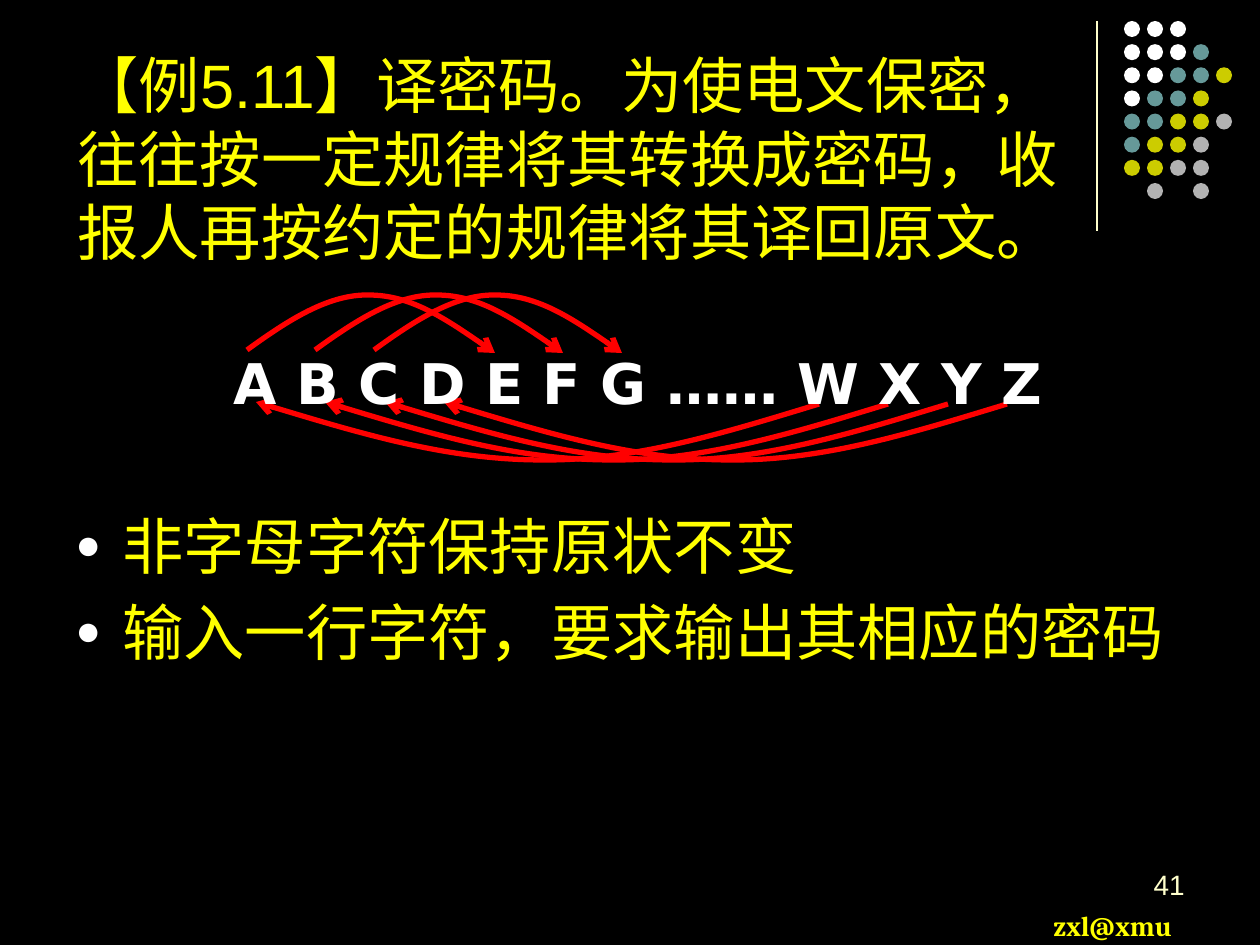
"""Build a slide that explains a letter-shifting cipher."""
from lxml import etree
from pptx import Presentation
from pptx.dml.color import RGBColor
from pptx.enum.shapes import MSO_CONNECTOR, MSO_SHAPE
from pptx.enum.text import MSO_ANCHOR, PP_ALIGN
from pptx.oxml.ns import qn
from pptx.util import Inches, Pt

STRAIGHT, OVAL = MSO_CONNECTOR.STRAIGHT, MSO_SHAPE.OVAL
TOP, BOTTOM = MSO_ANCHOR.TOP, MSO_ANCHOR.BOTTOM
LEFT, CENTER, RIGHT = PP_ALIGN.LEFT, PP_ALIGN.CENTER, PP_ALIGN.RIGHT
SCALE = 914400 / 126
COLORS = {
    "black": "000000", "white": "FFFFFF", "yellow": "FFFF00", "cream": "FFFFCC",
    "teal": "669999", "olive": "CCCC00", "gray": "B2B2B2", "red": "FF0000",
}


def px(*lengths):
    return [round(length * SCALE) for length in lengths]


def add_text(text, place, size, color, font="Arial", bold=False, align=LEFT,
             anchor=TOP, wrap=True, hanging=0, bullet=None, line_spacing=None):
    box = slide.shapes.add_textbox(*px(*place))
    frame = box.text_frame
    frame.word_wrap = wrap
    frame.vertical_anchor = anchor
    for index, line in enumerate(text.split("\n")):
        para = frame.paragraphs[0] if index == 0 else frame.add_paragraph()
        para.alignment = align
        if index:
            para.space_before = Pt(size * 0.2)
        if line_spacing:
            para.line_spacing = line_spacing
        properties = para._p.get_or_add_pPr()
        if hanging:
            indent = px(hanging)[0]
            properties.set("marL", str(indent))
            properties.set("indent", str(-indent))
        if bullet:
            bullet_color = etree.SubElement(properties, qn("a:buClr"))
            etree.SubElement(bullet_color, qn("a:srgbClr"), val=COLORS["white"])
            etree.SubElement(properties, qn("a:buSzPct"), val="70000")
            etree.SubElement(properties, qn("a:buFont"), typeface=font)
            etree.SubElement(properties, qn("a:buChar"), char=bullet)
        span = para.add_run()
        span.text = line
        span.font.name = font
        span.font.size = Pt(size)
        span.font.bold = bold
        span.font.color.rgb = RGBColor.from_string(COLORS[color])


deck = Presentation()
deck.slide_width, deck.slide_height = Inches(10), Inches(7.5)
slide = deck.slides.add_slide(deck.slide_layouts[6])
slide.background.fill.solid()
slide.background.fill.fore_color.rgb = RGBColor.from_string(COLORS["black"])

divider = slide.shapes.add_connector(STRAIGHT, *px(1097, 21, 1097, 231))
divider.line.color.rgb = RGBColor.from_string(COLORS["cream"])
divider.line.width = Pt(0.75)
etree.SubElement(divider._element.spPr, qn("a:effectLst"))

DOT_ROWS = ["WWW", "WWWT", "WWTTO", "WTTO", "TTOOG", "TOOG", "OOGG", "-G-G"]
DOT_COLORS = {"W": "white", "T": "teal", "O": "olive", "G": "gray"}
dots = slide.shapes.add_group_shape()
for row, letters in enumerate(DOT_ROWS):
    for column, letter in enumerate(letters):
        if letter in DOT_COLORS:
            place = px(1124 + 23 * column, 21 + 162 * row / 7, 16, 16)
            dot = dots.shapes.add_shape(OVAL, *place)
            dot.shadow.inherit = False
            dot.fill.solid()
            dot.fill.fore_color.rgb = RGBColor.from_string(COLORS[DOT_COLORS[letter]])
            dot.line.fill.background()

add_text("zxl@xmu", (1041, 902, 159, 47), 16, "yellow", font="Cambria", bold=True, wrap=False)
add_text("【例5.11】译密码。为使电文保密，往往按一定规律将其转换成密码，收报人再按约定的规律将其译回原文。",
         (65, 36, 1040, 238), 35, "yellow", anchor=BOTTOM)
add_text("非字母字符保持原状不变\n输入一行字符，要求输出其相应的密码",
         (63, 502, 1134, 367), 35, "yellow", hanging=47, bullet="●")
add_text("41", (903, 861, 294, 63), 16, "cream", align=RIGHT)

FORWARD = [(40, -29), (81, -56), (122, -55), (163, -55), (207, -26), (248, 3)]
WRAPPED = [(-92, 28), (-184, 57), (-277, 56), (-371, 56), (-467, 27), (-563, -2)]
arcs = [(x, 350, FORWARD) for x in (247, 315, 374)]
arcs += [(x, 404, WRAPPED) for x in (819, 888, 948, 1007)]
for x, y, controls in arcs:
    builder = slide.shapes.build_freeform(*px(x, y))
    builder.add_line_segments([px(x + dx, y + dy) for dx, dy in controls], close=False)
    arc = builder.convert_to_shape()
    outline_path = arc._element.find(".//" + qn("a:path"))
    segments = outline_path.findall(qn("a:lnTo"))
    for start in (0, 3):
        curve = etree.SubElement(outline_path, qn("a:cubicBezTo"))
        for segment in segments[start:start + 3]:
            curve.append(segment[0])
            outline_path.remove(segment)
    arc.shadow.inherit = False
    arc.fill.background()
    arc.line.color.rgb = RGBColor.from_string(COLORS["red"])
    arc.line.width = Pt(3)
    outline = arc.line._get_or_add_ln()
    etree.SubElement(outline, qn("a:round"))
    etree.SubElement(outline, qn("a:tailEnd"), type="arrow")

add_text("A B C D E F G …… W X Y Z", (213, 329, 851, 95), 32, "white", font="DejaVu Sans",
         bold=True, align=CENTER, hanging=47, line_spacing=1.2)

deck.save("out.pptx")
